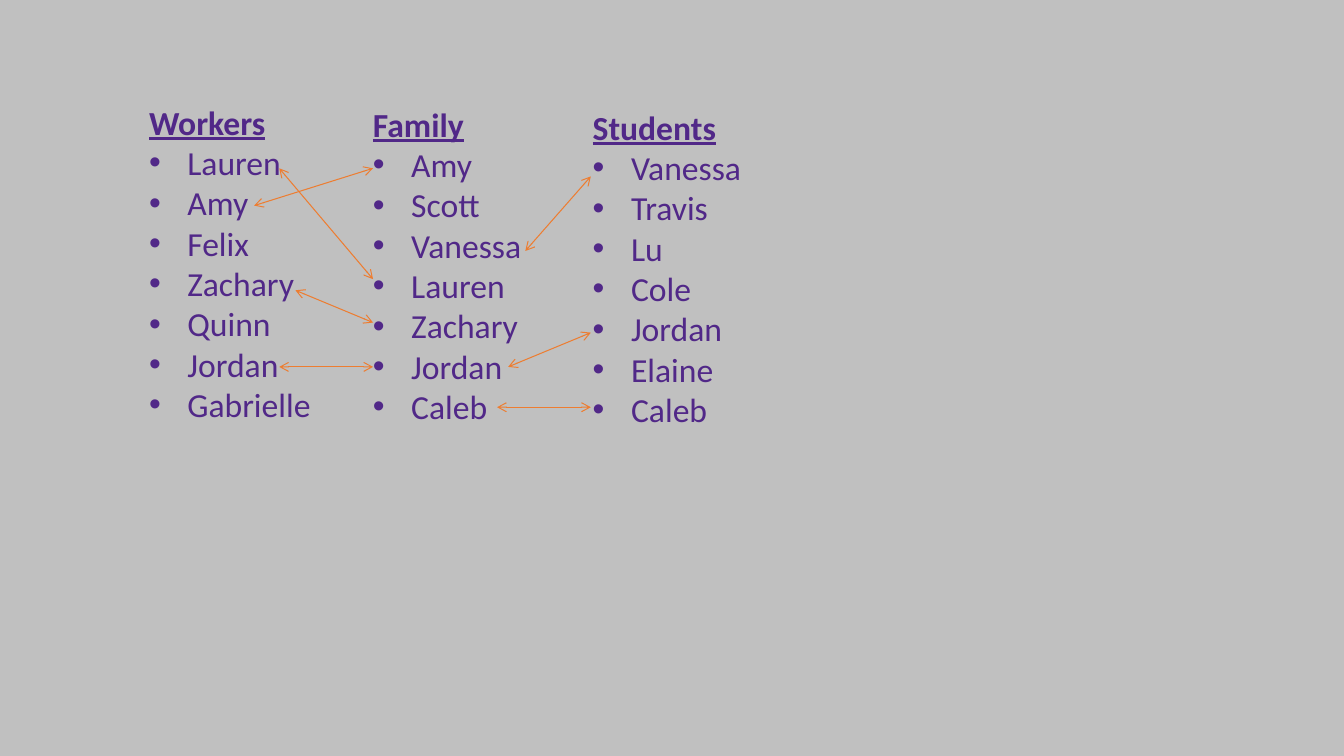
from lxml import etree
from pptx import Presentation
from pptx import util as u
from pptx.dml import color
from pptx.enum import shapes, text
from pptx.oxml import ns

PURPLE, ORANGE, GRAY = "512888", "ED7D31", "C0C0C0"
HANGING = 0.38

COLUMNS = [
    ("Family", (3.6, 0.98, 1.89), 0,
     ["Amy", "Scott", "Vanessa", "Lauren", "Zachary", "Jordan", "Caleb"]),
    ("Students", (5.72, 1.01, 1.89), 0.06,
     ["Vanessa", "Travis", "Lu", "Cole", "Jordan", "Elaine", "Caleb"]),
    ("Workers", (1.38, 0.96, 1.95), 0,
     ["Lauren", "Amy", "Felix", "Zachary", "Quinn", "Jordan", "Gabrielle"]),
]
FAMILY_EDGE, STUDENTS_EDGE = 3.7, 5.86
MATCHES = [
    (2.52, 2.04, FAMILY_EDGE, 1.67),
    (2.93, 2.88, FAMILY_EDGE, 3.2),
    (2.77, 3.64, FAMILY_EDGE, 3.64),
    (5.04, 3.64, STUDENTS_EDGE, 3.3),
    (4.93, 4.04, STUDENTS_EDGE, 4.04),
    (5.21, 2.49, STUDENTS_EDGE, 1.75),
    (2.77, 1.67, FAMILY_EDGE, 2.77),
]


def rgb(value):
    """Turn a hex string into a colour."""
    return color.RGBColor.from_string(value)


def add_child(parent, tag, **attributes):
    """Append a DrawingML element to its parent."""
    return etree.SubElement(parent, ns.qn(tag), attributes)


def write_line(paragraph, words, **formats):
    """Write one run in the list style."""
    run = paragraph.add_run()
    run.text = words
    formats = {"name": "Calibri", "size": u.Pt(24), **formats}
    for name, value in formats.items():
        setattr(run.font, name, value)
    run.font.color.rgb = rgb(PURPLE)


def set_indent(paragraph, left, hanging=0):
    """Set the margin, and a bullet where the first line hangs."""
    properties = paragraph._p.get_or_add_pPr()
    properties.set("marL", str(u.Inches(left + hanging)))
    properties.set("indent", str(-u.Inches(hanging)))
    if hanging:
        add_child(properties, "a:buFont", typeface="Arial")
        add_child(properties, "a:buChar", char="•")


def add_column(slide, heading, place, margin, names):
    """Add a heading with a bulleted list of names."""
    box = slide.shapes.add_textbox(*map(u.Inches, (*place, 3.33)))
    frame = box.text_frame
    frame.word_wrap = True
    frame.auto_size = text.MSO_AUTO_SIZE.SHAPE_TO_FIT_TEXT
    title = frame.paragraphs[0]
    set_indent(title, margin)
    write_line(title, heading, bold=True, underline=True)
    for name in names:
        paragraph = frame.add_paragraph()
        set_indent(paragraph, margin, HANGING)
        write_line(paragraph, name)


def add_match(slide, ends):
    """Add a thin arrow with a head at each end."""
    arrow = slide.shapes.add_connector(
        shapes.MSO_CONNECTOR.STRAIGHT, *map(u.Inches, ends))
    arrow.line.color.rgb = rgb(ORANGE)
    arrow.line.width = u.Pt(0.75)
    line = arrow.line._get_or_add_ln()
    for tag in ("a:headEnd", "a:tailEnd"):
        add_child(line, tag, type="arrow")
    add_child(arrow._element.spPr, "a:effectLst")


def main():
    """Build the slide of matched name lists."""
    presentation = Presentation()
    presentation.slide_width = u.Inches(13.33)
    presentation.slide_height = u.Inches(7.5)
    slide = presentation.slides.add_slide(presentation.slide_layouts[6])
    background = slide.background.fill
    background.solid()
    background.fore_color.rgb = rgb(GRAY)
    for column in COLUMNS:
        add_column(slide, *column)
    for ends in MATCHES:
        add_match(slide, ends)
    presentation.save("out.pptx")


if __name__ == "__main__":
    main()
